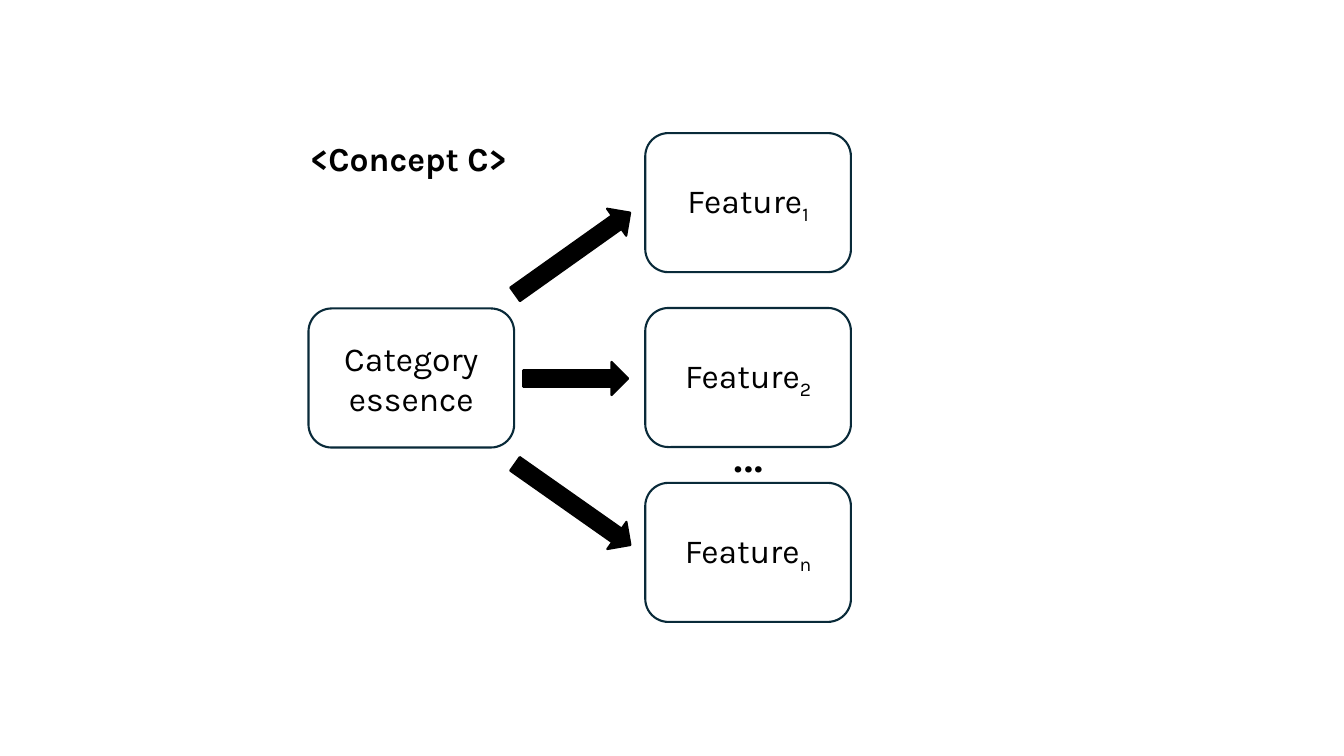
"""Build a slide showing a category essence that gives rise to its features."""
from dataclasses import dataclass

from pptx import Presentation
from pptx.dml.color import RGBColor
from pptx.enum.shapes import MSO_SHAPE
from pptx.enum.text import MSO_ANCHOR, MSO_AUTO_SIZE, PP_ALIGN
from pptx.shapes.autoshape import Shape
from pptx.slide import Slide
from pptx.util import Inches, Pt

FONT = "Karla"
BLACK = "000000"
OUTLINE = "092A39"
BOX_WIDTH, BOX_HEIGHT = 2.04, 1.38
ARROW_HEIGHT = 0.33
FEATURE_LEFT, FEATURE_TOP, FEATURE_STEP = 6.4, 1.32, 1.735


@dataclass
class Box:
    left: float
    top: float
    text: str
    subscript: str = ""


@dataclass
class Arrow:
    left: float
    top: float
    width: float
    rotation: float = 0


@dataclass
class Label:
    left: float
    top: float
    width: float
    height: float
    text: str
    size: int
    align: PP_ALIGN
    bold: bool = False


BOXES = [Box(3.06, 3.06, "Category essence")] + [
    Box(FEATURE_LEFT, FEATURE_TOP + row * FEATURE_STEP, "Feature", subscript)
    for row, subscript in enumerate("12n")
]
ARROWS = [
    Arrow(5.19, 3.59, 1.04),
    Arrow(4.98, 2.35, 1.4, 324.6),
    Arrow(4.98, 4.84, 1.4, 35.1),
]
LABELS = [
    Label(6.93, 4.08, 0.99, 0.77, "…", 40, PP_ALIGN.CENTER),
    Label(2.98, 1.32, 2.21, 0.5, "<Concept C>", 24, PP_ALIGN.LEFT, True),
]


def color(value: str) -> RGBColor:
    return RGBColor.from_string(value)


def format_text(shape: Shape, size: int, align: PP_ALIGN, bold: bool = False) -> None:
    shape.text_frame.word_wrap = True
    for para in shape.text_frame.paragraphs:
        para.alignment = align
        for span in para.runs:
            span.font.name = FONT
            span.font.size = Pt(size)
            span.font.bold = bold
            span.font.color.rgb = color(BLACK)


def outline(shape: Shape, line_color: str) -> None:
    shape.shadow.inherit = False
    shape.line.color.rgb = color(line_color)
    shape.line.width = Pt(1.5)


def draw_box(page: Slide, box: Box) -> None:
    shape = page.shapes.add_shape(
        MSO_SHAPE.ROUNDED_RECTANGLE, Inches(box.left), Inches(box.top),
        Inches(BOX_WIDTH), Inches(BOX_HEIGHT))
    shape.fill.background()
    outline(shape, OUTLINE)
    shape.text_frame.text = box.text
    shape.text_frame.vertical_anchor = MSO_ANCHOR.MIDDLE
    if box.subscript:
        span = shape.text_frame.paragraphs[0].add_run()
        span.text = box.subscript
        span.font._element.set("baseline", "-25000")
    format_text(shape, 24, PP_ALIGN.CENTER)


def draw_arrow(page: Slide, arrow: Arrow) -> None:
    shape = page.shapes.add_shape(
        MSO_SHAPE.RIGHT_ARROW, Inches(arrow.left), Inches(arrow.top),
        Inches(arrow.width), Inches(ARROW_HEIGHT))
    shape.rotation = arrow.rotation
    shape.fill.solid()
    shape.fill.fore_color.rgb = color(BLACK)
    outline(shape, BLACK)


def draw_label(page: Slide, label: Label) -> None:
    shape = page.shapes.add_textbox(
        Inches(label.left), Inches(label.top), Inches(label.width), Inches(label.height))
    shape.text_frame.text = label.text
    shape.text_frame.auto_size = MSO_AUTO_SIZE.SHAPE_TO_FIT_TEXT
    format_text(shape, label.size, label.align, label.bold)


def main() -> None:
    deck = Presentation()
    deck.slide_width, deck.slide_height = Inches(13.33), Inches(7.5)
    page = deck.slides.add_slide(deck.slide_layouts[6])
    for box in BOXES:
        draw_box(page, box)
    for arrow in ARROWS:
        draw_arrow(page, arrow)
    for label in LABELS:
        draw_label(page, label)
    deck.save("out.pptx")


if __name__ == "__main__":
    main()
